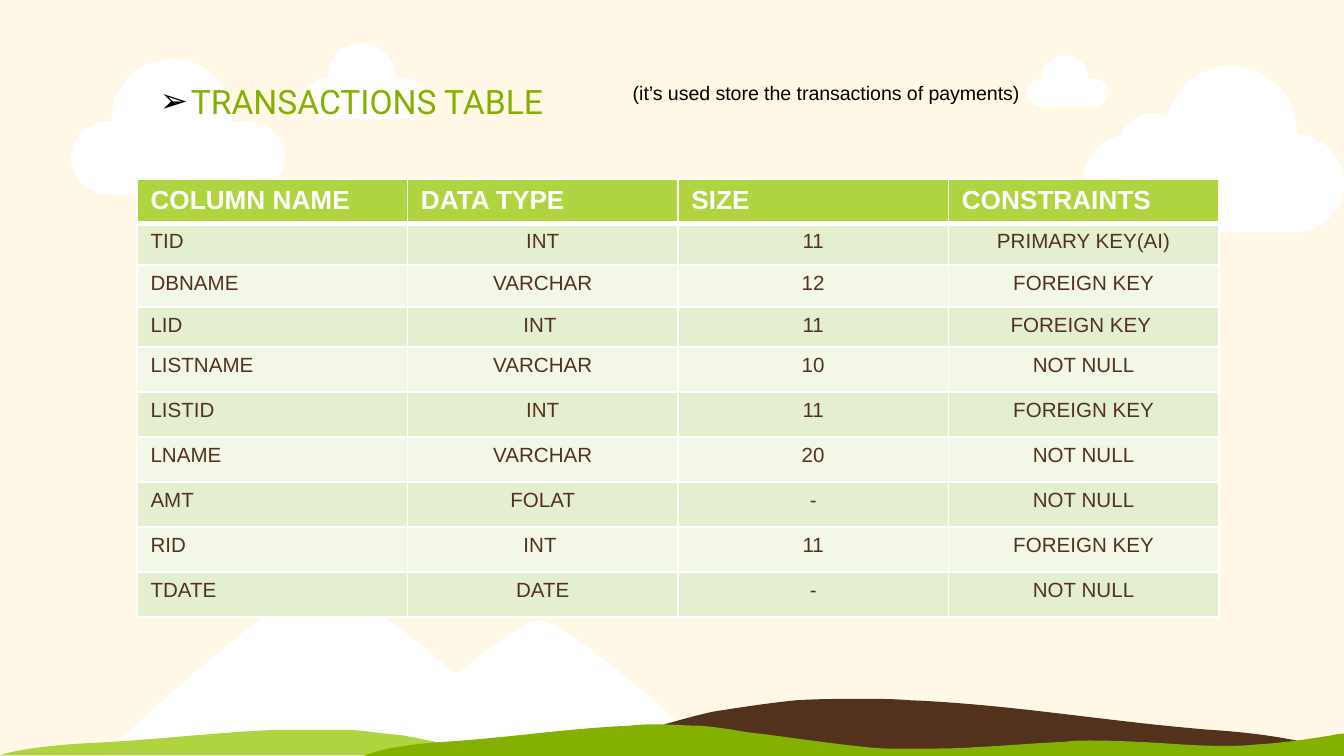
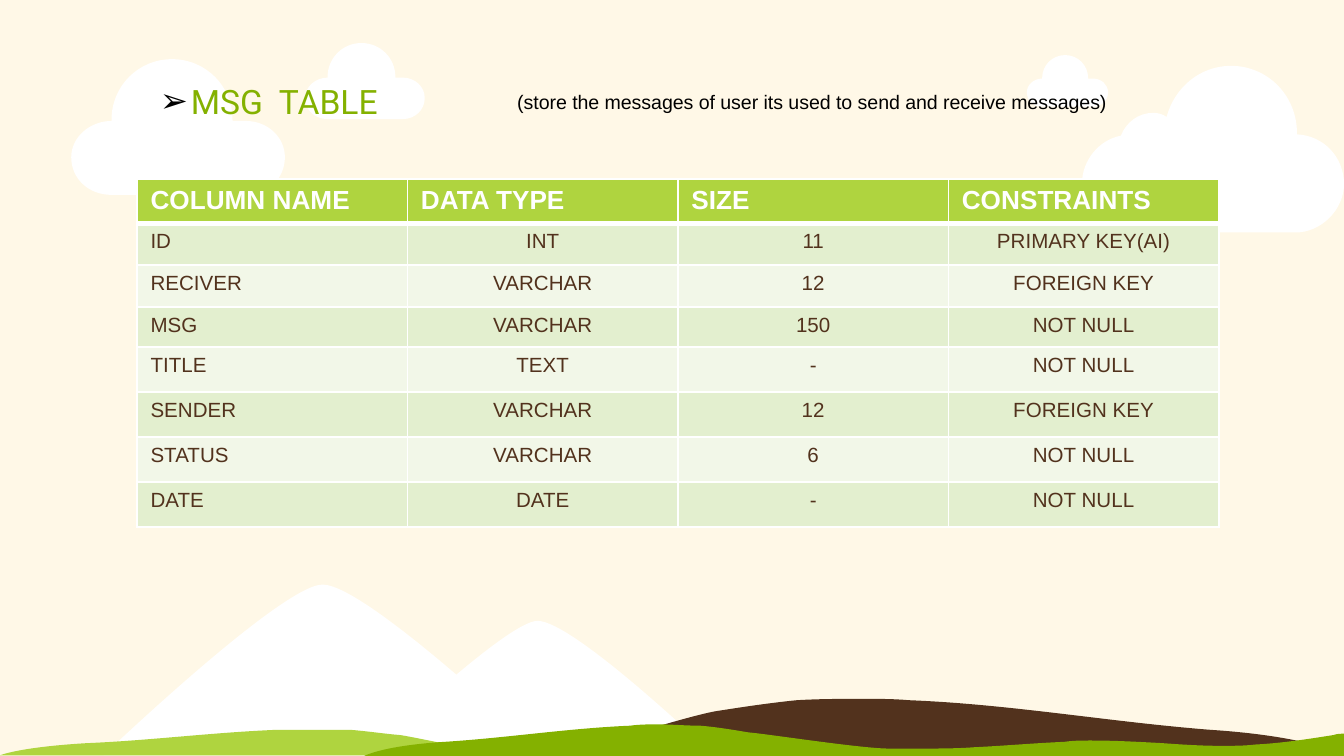
from lxml import etree
from pptx import Presentation
from pptx.dml.color import RGBColor
from pptx.enum import text
from pptx.oxml import ns
from pptx.util import Inches, Pt

CREAM = RGBColor(0xFF, 0xF8, 0xE7)
WHITE = RGBColor(0xFF, 0xFF, 0xFF)
BLACK = RGBColor(0, 0, 0)
LIME = RGBColor(0xAF, 0xD4, 0x3F)
GREEN = RGBColor(0x84, 0xB1, 0x00)
BROWN = RGBColor(0x52, 0x32, 0x1D)
BANDS = [RGBColor(0xE3, 0xEF, 0xCF), RGBColor(0xF2, 0xF7, 0xE8)]

HEADERS = ["COLUMN NAME", "DATA TYPE", "SIZE", "CONSTRAINTS"]
SLIDES = [
    {
        "title": "TRANSACTIONS TABLE",
        "note": "(it’s used store the transactions of payments)",
        "note_box": (4.61, 0.55, 3.13, 0.28),
        "rows": [
            ("TID", "INT", "11", "PRIMARY KEY(AI)"),
            ("DBNAME", "VARCHAR", "12", "FOREIGN KEY"),
            ("LID", "INT ", "11", "FOREIGN KEY "),
            ("LISTNAME", "VARCHAR", "10", "NOT NULL"),
            ("LISTID", "INT", "11", "FOREIGN KEY"),
            ("LNAME", "VARCHAR", "20", "NOT NULL"),
            ("AMT", "FOLAT", "-", "NOT NULL"),
            ("RID", "INT ", "11", "FOREIGN KEY"),
            ("TDATE", "DATE", "-", "NOT NULL"),
        ],
    },
    {
        "title": "MSG  TABLE",
        "note": "(store the messages of user its used to send and receive messages)",
        "note_box": (3.75, 0.62, 4.67, 0.28),
        "rows": [
            ("ID", "INT", "11", "PRIMARY KEY(AI)"),
            ("RECIVER", "VARCHAR", "12", "FOREIGN KEY"),
            ("MSG", "VARCHAR", "150", "NOT NULL"),
            ("TITLE", "TEXT", "-", "NOT NULL"),
            ("SENDER", "VARCHAR", "12", "FOREIGN KEY"),
            ("STATUS", "VARCHAR", "6", "NOT NULL"),
            ("DATE", "DATE", "-", "NOT NULL"),
        ],
    },
]

TITLE_BOX = (1.09, 0.55, 3.67, 0.4)
TABLE_LEFT, TABLE_TOP, TABLE_WIDTH = 1.02, 1.33, 8.05
TOP_ROW_HEIGHTS = [0.31, 0.31, 0.31, 0.3]
ROW_HEIGHT = 0.67 / 2

CLOUD = [
    (0.75, 0), (0.5, 0, 0.3, 0.2, 0.3, 0.45), (0.3, 0.46),
    (0.14, 0.46, 0, 0.58, 0, 0.73), (0, 0.89, 0.13, 1.01, 0.3, 1.01),
    (1.3, 1.01), (1.46, 1.01, 1.59, 0.89, 1.59, 0.73),
    (1.59, 0.58, 1.46, 0.46, 1.3, 0.46), (1.2, 0.46), (1.2, 0.45),
    (1.2, 0.2, 1, 0, 0.75, 0),
]
BIG_CLOUD = [
    (9.16, 0.49), (8.93, 0.49, 8.74, 0.65, 8.68, 0.87),
    (8.65, 0.85, 8.62, 0.84, 8.58, 0.84), (8.47, 0.84, 8.38, 0.91, 8.34, 1.01),
    (8.18, 1.04, 8.05, 1.19, 8.05, 1.37), (8.05, 1.56, 8.21, 1.73, 8.41, 1.73),
    (9.64, 1.73), (9.83, 1.73, 10, 1.56, 10, 1.37),
    (10, 1.17, 9.85, 1.01, 9.65, 1), (9.65, 0.99),
    (9.65, 0.71, 9.43, 0.49, 9.16, 0.49),
]
TALL_MOUNTAIN = [
    (2.4, 4.35), (2.1, 4.35, 0.77, 5.62, 0.77, 5.62), (4.06, 5.62),
    (4.06, 5.62, 2.73, 4.35, 2.4, 4.35),
]
LOW_MOUNTAIN = [
    (4, 4.62), (3.77, 4.62, 2.73, 5.62, 2.73, 5.62), (5.31, 5.62),
    (5.31, 5.62, 4.27, 4.62, 4, 4.62),
]
LIME_HILL = [
    (2.28, 5.43), (2.21, 5.43, 2.14, 5.43, 2.07, 5.43),
    (1.58, 5.45, 1.12, 5.51, 0.64, 5.53), (0.14, 5.56, 0, 5.62, 0, 5.62),
    (3.72, 5.62), (3.72, 5.62, 3.11, 5.49, 2.98, 5.47),
    (2.86, 5.46, 2.73, 5.44, 2.6, 5.43), (2.49, 5.43, 2.39, 5.43, 2.28, 5.43),
]
BROWN_HILL = [
    (6.43, 5.2), (6.54, 5.2, 6.65, 5.2, 6.76, 5.21),
    (7.52, 5.24, 8.24, 5.37, 9, 5.43), (9.77, 5.48, 10, 5.62, 10, 5.62),
    (4.19, 5.62), (4.19, 5.62, 5.13, 5.32, 5.34, 5.29),
    (5.53, 5.26, 5.73, 5.23, 5.93, 5.21), (6.1, 5.2, 6.26, 5.2, 6.43, 5.2),
]
GREEN_HILL = [
    (4.9, 5.39), (4.83, 5.39, 4.76, 5.39, 4.69, 5.4),
    (4.22, 5.42, 3.78, 5.49, 3.31, 5.52), (2.83, 5.55, 2.7, 5.63, 2.7, 5.63),
    (10, 5.63), (10, 5.46), (9.97, 5.46, 9.95, 5.46, 9.92, 5.47),
    (9.73, 5.5, 9.54, 5.53, 9.34, 5.54), (9.26, 5.55, 9.17, 5.55, 9.09, 5.55),
    (8.94, 5.55, 8.79, 5.54, 8.65, 5.53), (8.47, 5.52, 8.29, 5.51, 8.12, 5.51),
    (8.05, 5.51, 7.99, 5.51, 7.92, 5.52), (7.69, 5.53, 7.47, 5.55, 7.25, 5.56),
    (7.12, 5.57, 6.99, 5.57, 6.87, 5.57), (6.78, 5.57, 6.69, 5.57, 6.61, 5.57),
    (6.41, 5.57, 5.7, 5.46, 5.57, 5.45), (5.45, 5.43, 5.33, 5.41, 5.21, 5.4),
    (5.1, 5.4, 5, 5.39, 4.9, 5.39),
]
SCENERY = [
    (TALL_MOUNTAIN, WHITE, 0, 0, 1),
    (LOW_MOUNTAIN, WHITE, 0, 0, 1),
    (CLOUD, WHITE, 0.53, 0.44, 1),
    (CLOUD, WHITE, 2.27, 0.32, 0.56),
    (BIG_CLOUD, WHITE, 0, 0, 1),
    (CLOUD, WHITE, 7.64, 0.41, 0.38),
    (LIME_HILL, LIME, 0, 0, 1),
    (BROWN_HILL, BROWN, 0, 0, 1),
    (GREEN_HILL, GREEN, 0, 0, 1),
]


def bend(sp, outline):
    lines = iter(list(sp.element.iter(ns.qn("a:lnTo"))))
    for part in outline[1:]:
        line = next(lines)
        if len(part) == 2:
            continue
        curve = etree.Element(ns.qn("a:cubicBezTo"))
        line.addprevious(curve)
        for vertex in (line, next(lines), next(lines)):
            curve.append(vertex[0])
            vertex.getparent().remove(vertex)


def add_scenery(slide):
    layout_tree = slide.slide_layout.shapes.element
    for index, (outline, color, left, top, scale) in enumerate(SCENERY, start=2):
        points = [(Inches(left + part[k] * scale), Inches(top + part[k + 1] * scale))
                  for part in outline for k in range(0, len(part), 2)]
        builder = slide.shapes.build_freeform(*points[0])
        builder.add_line_segments(points[1:], close=True)
        sp = builder.convert_to_shape()
        bend(sp, outline)
        sp.shadow.inherit = False
        sp.fill.solid()
        sp.fill.fore_color.rgb = color
        sp.line.fill.background()
        layout_tree.insert(index, sp.element)


def add_run(p, content, size, color, font="Arial", bold=False):
    r = p.add_run()
    r.text = content
    r.font.name, r.font.size, r.font.bold = font, Pt(size), bold
    r.font.color.rgb = color


def add_bullet(p, char, color, indent):
    pPr = p._p.get_or_add_pPr()
    pPr.set("marL", str(Inches(indent)))
    pPr.set("indent", str(-Inches(indent)))
    fill = etree.SubElement(pPr, ns.qn("a:buClr"))
    etree.SubElement(fill, ns.qn("a:srgbClr"), val=str(color))
    etree.SubElement(pPr, ns.qn("a:buFont"), typeface="Arial")
    etree.SubElement(pPr, ns.qn("a:buChar"), char=char)


def set_borders(cell, **widths):
    tcPr = cell._tc.get_or_add_tcPr()
    for index, side in enumerate("LRTB"):
        ln = etree.Element(ns.qn(f"a:ln{side}"), w=str(Pt(widths.get(side, 1))))
        fill = etree.SubElement(ln, ns.qn("a:solidFill"))
        etree.SubElement(fill, ns.qn("a:srgbClr"), val=str(WHITE))
        tcPr.insert(index, ln)


def add_title(slide, title):
    sp = slide.shapes.title
    sp.left, sp.top, sp.width, sp.height = map(Inches, TITLE_BOX)
    tf = sp.text_frame
    tf.word_wrap = True
    tf.auto_size = text.MSO_AUTO_SIZE.SHAPE_TO_FIT_TEXT
    tf.vertical_anchor = text.MSO_ANCHOR.TOP
    p = tf.paragraphs[0]
    p.alignment = text.PP_ALIGN.LEFT
    add_bullet(p, "➢", BLACK, 0.23)
    add_run(p, title, 18, GREEN, "Roboto")


def add_note(slide, note, box):
    tf = slide.shapes.add_textbox(*map(Inches, box)).text_frame
    tf.word_wrap = False
    tf.auto_size = text.MSO_AUTO_SIZE.SHAPE_TO_FIT_TEXT
    add_run(tf.paragraphs[0], note, 10.5, BLACK)


def add_columns_table(slide, rows):
    extra = len(rows) + 1 - len(TOP_ROW_HEIGHTS)
    heights = TOP_ROW_HEIGHTS + [ROW_HEIGHT] * extra
    table = slide.shapes.add_table(
        len(heights), len(HEADERS), Inches(TABLE_LEFT), Inches(TABLE_TOP),
        Inches(TABLE_WIDTH), Inches(sum(heights))).table
    for row, height in zip(table.rows, heights):
        row.height = Inches(height)
    for i, values in enumerate([HEADERS] + rows):
        header = i == 0
        for j, value in enumerate(values):
            cell = table.cell(i, j)
            cell.fill.solid()
            cell.fill.fore_color.rgb = LIME if header else BANDS[(i - 1) % 2]
            set_borders(cell, T=3 if i == 1 else 1, B=3 if header else 1)
            p = cell.text_frame.paragraphs[0]
            if header:
                add_run(p, value, 14, WHITE, bold=True)
            else:
                p.alignment = text.PP_ALIGN.CENTER if j else text.PP_ALIGN.LEFT
                add_run(p, value, 11, BROWN)


def main():
    prs = Presentation()
    prs.slide_width = Inches(10)
    prs.slide_height = prs.slide_width * 9 // 16
    fill = prs.slide_master.background.fill
    fill.solid()
    fill.fore_color.rgb = CREAM
    layout = prs.slide_layouts[5]
    for number, content in enumerate(SLIDES):
        s = prs.slides.add_slide(layout)
        if number == 0:
            add_scenery(s)
        add_columns_table(s, content["rows"])
        add_title(s, content["title"])
        add_note(s, content["note"], content["note_box"])
    prs.save("out.pptx")


if __name__ == "__main__":
    main()
